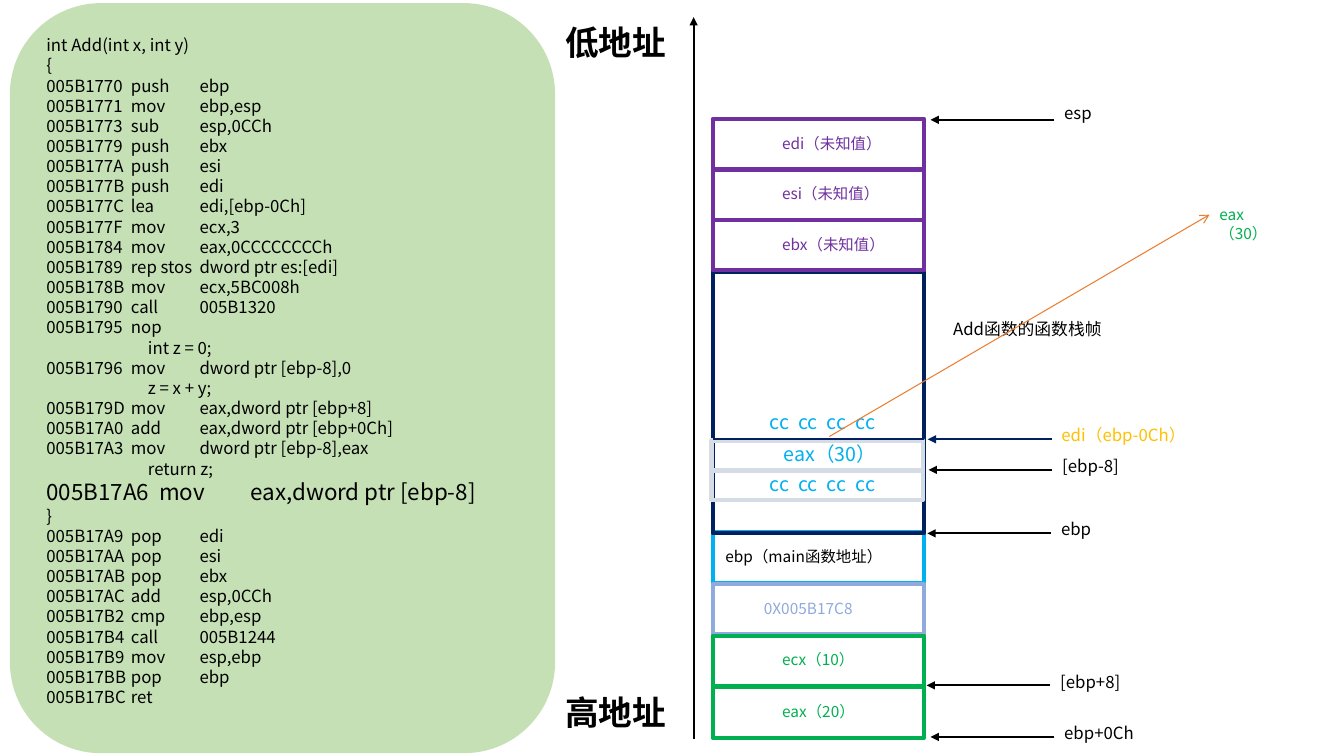
from lxml.etree import SubElement
from pptx import Presentation
from pptx.dml.color import RGBColor
from pptx.enum.shapes import MSO_CONNECTOR, MSO_SHAPE
from pptx.enum.text import MSO_ANCHOR, PP_ALIGN
from pptx.oxml.ns import qn
from pptx.util import Cm, Pt

FONT = "Noto Sans CJK SC"
COLORS = {
    "black": "000000", "panel": "C5E0B4", "green": "00B050",
    "periwinkle": "8FAADC", "cyan": "00B0F0", "navy": "002060",
    "purple": "7030A0", "grey": "D6DCE5", "gold": "FFC000", "orange": "ED7D31",
}

# Columns: address, operation, operands; source lines start at the second column
CODE = [
    ("int Add(int x, int y)",),
    ("{",),
    ("005B1770", "push", "ebp"),
    ("005B1771", "mov", "ebp,esp"),
    ("005B1773", "sub", "esp,0CCh"),
    ("005B1779", "push", "ebx"),
    ("005B177A", "push", "esi"),
    ("005B177B", "push", "edi"),
    ("005B177C", "lea", "edi,[ebp-0Ch]"),
    ("005B177F", "mov", "ecx,3"),
    ("005B1784", "mov", "eax,0CCCCCCCCh"),
    ("005B1789", "rep stos", "dword ptr es:[edi]"),
    ("005B178B", "mov", "ecx,5BC008h"),
    ("005B1790", "call", "005B1320"),
    ("005B1795", "nop"),
    ("", "int z = 0;"),
    ("005B1796", "mov", "dword ptr [ebp-8],0"),
    ("", "z = x + y;"),
    ("005B179D", "mov", "eax,dword ptr [ebp+8]"),
    ("005B17A0", "add", "eax,dword ptr [ebp+0Ch]"),
    ("005B17A3", "mov", "dword ptr [ebp-8],eax"),
    ("", "return z;"),
    ("005B17A6", "mov", "eax,dword ptr [ebp-8]"),
    ("}",),
    ("005B17A9", "pop", "edi"),
    ("005B17AA", "pop", "esi"),
    ("005B17AB", "pop", "ebx"),
    ("005B17AC", "add", "esp,0CCh"),
    ("005B17B2", "cmp", "ebp,esp"),
    ("005B17B4", "call", "005B1244"),
    ("005B17B9", "mov", "esp,ebp"),
    ("005B17BB", "pop", "ebp"),
    ("005B17BC", "ret"),
]
CURRENT = "005B17A6"

# Stack cells from top to bottom: label, label left, cell colour, label colour
SAVED_REGISTERS = [
    ("edi（未知值）", 19.46, "purple", "purple"),
    ("esi（未知值）", 19.46, "purple", "purple"),
    ("ebx（未知值）", 19.46, "purple", "purple"),
]
CALLER_CELLS = [
    ("ebp（main函数地址）", 18.03, "cyan", "black"),
    ("0X005B17C8", 19, "periwinkle", "periwinkle"),
    ("ecx（10）", 19.46, "green", "green"),
    ("eax（20）", 19.46, "green", "green"),
]
# Label, arrow start, arrow height, label top, label colour, arrow colour
POINTERS = [
    ("esp", 26.57, 3.02, 2.46, "black", "black"),
    ("edi（ebp-0Ch）", 26.5, 11.07, 10.59, "gold", "navy"),
    ("[ebp-8]", 26.52, 11.84, 11.35, "black", "black"),
    ("ebp", 26.49, 13.44, 12.95, "black", "black"),
    ("[ebp+8]", 26.47, 17.27, 16.79, "black", "black"),
    ("ebp+0Ch", 26.57, 18.57, 18.08, "black", "black"),
]
AXIS_ENDS = [("低地址", 0.43), ("高地址", 17.32)]
FILLER = ("cc", "cc", "cc", "cc")
FILLER_TOPS = [10.21, 11.76]
LOCAL_TOPS = [11.1, 11.86]

STACK_LEFT, CELL_W, CELL_H = 17.96, 5.33, 1.27
ARROW_LEN = 3.12

prs = Presentation()
prs.slide_width, prs.slide_height = Cm(33.87), Cm(19.05)
s = prs.slides.add_slide(prs.slide_layouts[6])


def rgb(name):
    return RGBColor.from_string(COLORS[name])


def style(p, size, color, bold=False):
    p.line_spacing = Pt(size * 1.2)
    for r in p.runs:
        r.font.size, r.font.bold, r.font.name = Pt(size), bold, FONT
        r.font.color.rgb = rgb(color)
        SubElement(r.font._element, qn("a:ea"), typeface=FONT)


def set_tabs(p, stops):
    tabs = SubElement(p._p.get_or_add_pPr(), qn("a:tabLst"))
    for stop in stops:
        SubElement(tabs, qn("a:tab"), pos=str(int(Cm(stop))), algn="l")


def add_text(text, x, y, w, h, size, color, bold=False, align=PP_ALIGN.LEFT):
    tf = s.shapes.add_textbox(Cm(x), Cm(y), Cm(w), Cm(h)).text_frame
    tf.word_wrap = True
    tf.text = text
    tf.paragraphs[0].alignment = align
    style(tf.paragraphs[0], size, color, bold)
    return tf


def add_cell(x, y, w, h, color):
    cell = s.shapes.add_shape(MSO_SHAPE.RECTANGLE, Cm(x), Cm(y), Cm(w), Cm(h))
    cell.shadow.inherit = False
    cell.fill.background()
    cell.line.color.rgb = rgb(color)
    cell.line.width = Pt(3)


def add_line(x1, y1, x2, y2, color, head=None, width=1.5):
    line = s.shapes.add_connector(
        MSO_CONNECTOR.STRAIGHT, Cm(x1), Cm(y1), Cm(x2), Cm(y2))
    line.line.color.rgb = rgb(color)
    line.line.width = Pt(width)
    if head:
        SubElement(line.line._get_or_add_ln(), qn("a:tailEnd"), type=head)
    SubElement(line._element.spPr, qn("a:effectLst"))


def add_code_panel():
    panel = s.shapes.add_shape(
        MSO_SHAPE.ROUNDED_RECTANGLE, Cm(0.25), Cm(0.08), Cm(13.74), Cm(18.9))
    panel.shadow.inherit = False
    panel.fill.solid()
    panel.fill.fore_color.rgb = rgb("panel")
    panel.line.fill.background()
    tf = panel.text_frame
    tf.word_wrap = True
    tf.vertical_anchor = MSO_ANCHOR.MIDDLE
    tf.margin_bottom = Cm(0.49)
    tf.text = "\n".join("\t".join(row) for row in CODE)
    for p, row in zip(tf.paragraphs, CODE):
        size = 16 if row[0] == CURRENT else 12
        p.alignment = PP_ALIGN.LEFT
        style(p, size, "black")
        if len(row) > 1:
            stops = (2.13, 3.86) if row[0] else (2.56,)
            set_tabs(p, [stop * size / 12 for stop in stops])


def add_stack(cells, top, pitch):
    for i, (label, x, color, text_color) in enumerate(cells):
        y = top + i * pitch
        add_cell(STACK_LEFT, y, CELL_W, CELL_H, color)
        add_text(label, x, y + 0.25, 6.3, 0.74, 11, text_color)


add_code_panel()

add_line(17.48, 18.62, 17.48, 0.43, "black", "triangle")
for label, y in AXIS_ENDS:
    add_text(label, 14, y, 4.17, 1.27, 24, "black", bold=True)

add_stack(CALLER_CELLS, 13.42, 1.3)
add_cell(STACK_LEFT, 6.86, CELL_W, 6.58, "navy")
add_text("Add函数的函数栈帧", 23.77, 7.9, 8.76, 0.76, 12, "black")
add_stack(SAVED_REGISTERS, 3, CELL_H)

for y in LOCAL_TOPS:
    add_cell(17.93, y, CELL_W, 0.74, "grey")
add_line(17.98, 11.07, 23.29, 11.07, "navy")
for y in FILLER_TOPS:
    tf = add_text("\t".join(FILLER), 17.91, y, CELL_W, 0.86, 14, "cyan")
    tf.margin_left = Cm(1.49)
    set_tabs(tf.paragraphs[0], [0.72 * i for i in range(1, len(FILLER))])
add_text("eax（30）", 16.54, 11, 8.76, 0.86, 14, "cyan", align=PP_ALIGN.CENTER)

for label, x, y, label_top, color, line_color in POINTERS:
    add_line(x, y, x - ARROW_LEN, y, line_color, "triangle")
    add_text(label, x, label_top, 7, 0.76, 12, color)

add_text("eax（30）", 30.48, 5.05, 2.31, 0.74, 11, "green")
add_line(20.9, 11, 30.48, 5.41, "orange", "arrow", 0.75)

prs.save("out.pptx")
